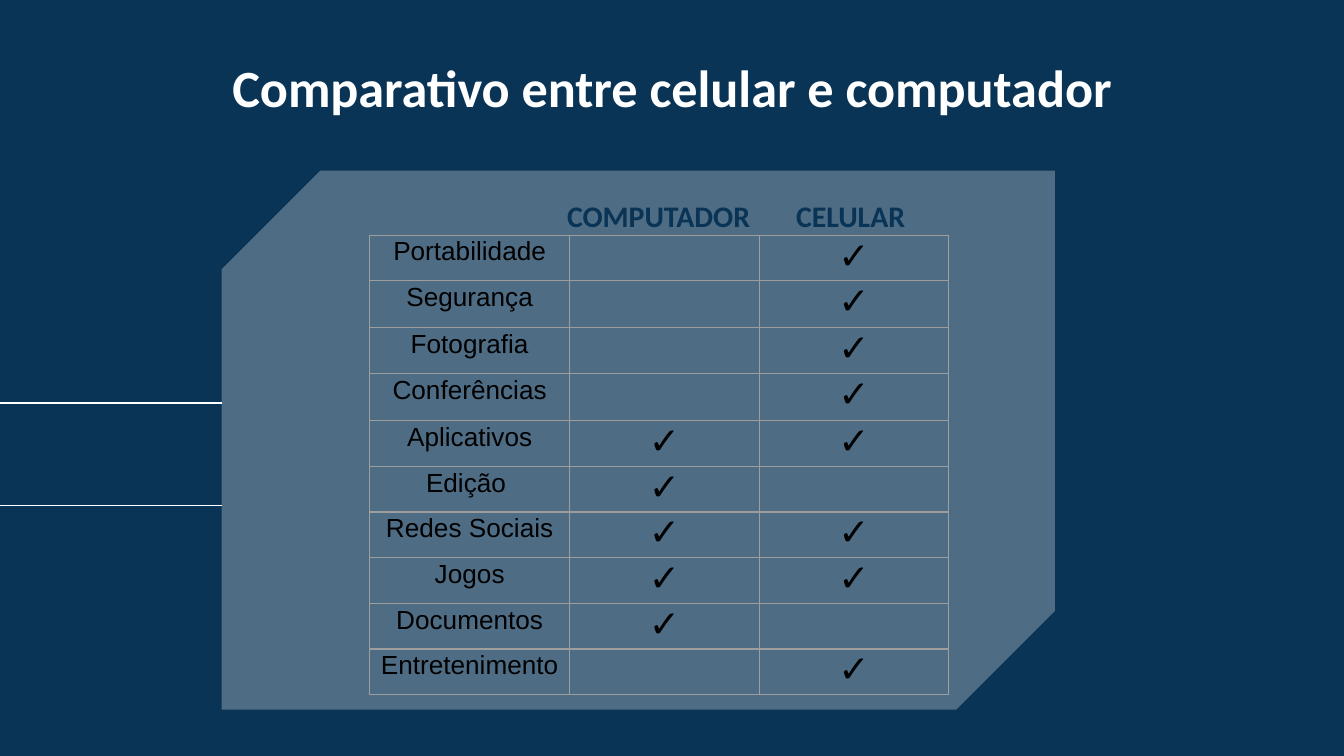
from dataclasses import dataclass

from lxml import etree
from pptx import Presentation
from pptx.dml.color import RGBColor
from pptx.enum import shapes, text
from pptx.oxml import ns
from pptx.util import Inches, Pt

TITLE = "Comparativo entre celular e computador"
HEADINGS = [("COMPUTADOR", 4.09, 1.62), ("CELULAR", 5.71, 1.24)]  # text, left, width
FEATURES = [  # name, computer, mobile
    ("Portabilidade", False, True),
    ("Segurança", False, True),
    ("Fotografia", False, True),
    ("Conferências", False, True),
    ("Aplicativos", True, True),
    ("Edição ", True, False),
    ("Redes Sociais", True, True),
    ("Jogos", True, True),
    ("Documentos", True, False),
    ("Entretenimento", False, True),
]
COLUMN_WIDTHS = [1.49, 1.41, 1.41]
ROW_HEIGHT, TALL_ROW_HEIGHT, TALL_ROWS = 0.34, 0.35, (1, 3)
LINE_YS = [3, 3.76]


@dataclass(frozen=True)
class Theme:
    navy: str = "0A3455"
    white: str = "FFFFFF"
    black: str = "000000"
    grid: str = "9E9E9E"
    heading_font: str = "Calibri"
    body_font: str = "Arial"
    title_size: int = 28
    heading_size: int = 16
    label_size: int = 14
    check_size: int = 20
    panel_alpha: int = 28
    line_width: float = 0.75


T = Theme()


def rgb(color):
    return RGBColor.from_string(color)


def write(p, words, size, color, font, bold=False):
    p.text = words
    p.alignment = text.PP_ALIGN.CENTER
    p.font.size, p.font.name, p.font.bold = Pt(size), font, bold
    p.font.color.rgb = rgb(color)


def add_heading(s, words, box, size, color, inset):
    sp = s.shapes.add_textbox(*map(Inches, box))
    tf = sp.text_frame
    tf.word_wrap = True
    tf.margin_left = tf.margin_right = Inches(0.1)
    tf.margin_top = tf.margin_bottom = Inches(inset)
    write(tf.paragraphs[0], words, size, color, T.heading_font, bold=True)


def add_panel(s):
    sp = s.shapes.add_shape(shapes.MSO_SHAPE.SNIP_2_DIAG_RECTANGLE,
                            *map(Inches, (1.65, 1.27, 6.2, 4.01)))
    sp.adjustments[0], sp.adjustments[1] = 0.183, 0
    sp.shadow.inherit = False
    sp.line.fill.background()
    sp.fill.solid()
    sp.fill.fore_color.rgb = rgb(T.white)
    color = sp.fill._xPr.find(".//" + ns.qn("a:srgbClr"))
    etree.SubElement(color, ns.qn("a:alpha"), val=str(T.panel_alpha * 1000))


def add_line(s, y):
    cx = s.shapes.add_connector(shapes.MSO_CONNECTOR.STRAIGHT,
                                Inches(1.65), Inches(y), Inches(-0.01), Inches(y))
    cx.line.color.rgb = rgb(T.white)
    cx.line.width = Pt(T.line_width)
    etree.SubElement(cx._element.spPr, ns.qn("a:effectLst"))


def add_borders(cell):
    """Draw all four sides; borders must precede the fill in the cell XML."""
    tc_pr = cell._tc.get_or_add_tcPr()
    for i, side in enumerate(("lnL", "lnR", "lnT", "lnB")):
        ln = etree.Element(ns.qn("a:" + side), w=str(Pt(T.line_width)))
        fill = etree.SubElement(ln, ns.qn("a:solidFill"))
        etree.SubElement(fill, ns.qn("a:srgbClr"), val=T.grid)
        tc_pr.insert(i, ln)


def add_comparison(s):
    heights = [TALL_ROW_HEIGHT if i in TALL_ROWS else ROW_HEIGHT
               for i in range(len(FEATURES))]
    frame = s.shapes.add_table(len(heights), len(COLUMN_WIDTHS), Inches(2.75), Inches(1.75),
                               Inches(sum(COLUMN_WIDTHS)), Inches(sum(heights)))
    table = frame.table
    table.first_row = table.horz_banding = False
    for column, width in zip(table.columns, COLUMN_WIDTHS):
        column.width = Inches(width)
    for row, height, (name, *checks) in zip(table.rows, heights, FEATURES):
        row.height = Inches(height)
        words = [name] + ["✓" if check else "" for check in checks]
        for i, (cell, word) in enumerate(zip(row.cells, words)):
            cell.fill.background()
            add_borders(cell)
            cell.margin_left = cell.margin_right = Inches(0.07)
            cell.margin_top = cell.margin_bottom = 0
            is_check = i > 0 and word
            p = cell.text_frame.paragraphs[0]
            write(p, word, T.check_size if is_check else T.label_size, T.black, T.body_font)
            # Single spacing keeps the taller check marks inside their rows.
            p.line_spacing = 1.0 if is_check else 1.07


def main():
    prs = Presentation()
    prs.slide_width, prs.slide_height = Inches(10), Inches(5.625)
    s = prs.slides.add_slide(prs.slide_layouts[6])
    s.background.fill.solid()
    s.background.fill.fore_color.rgb = rgb(T.navy)

    add_panel(s)
    add_heading(s, TITLE, (1.32, 0.31, 7.36, 1.03), T.title_size, T.white, 0.1)
    for y in LINE_YS:
        add_line(s, y)
    add_comparison(s)
    for words, left, width in HEADINGS:
        add_heading(s, words, (left, 1.42, width, 0.37), T.heading_size, T.navy, 0.05)
    prs.save("out.pptx")


if __name__ == "__main__":
    main()
